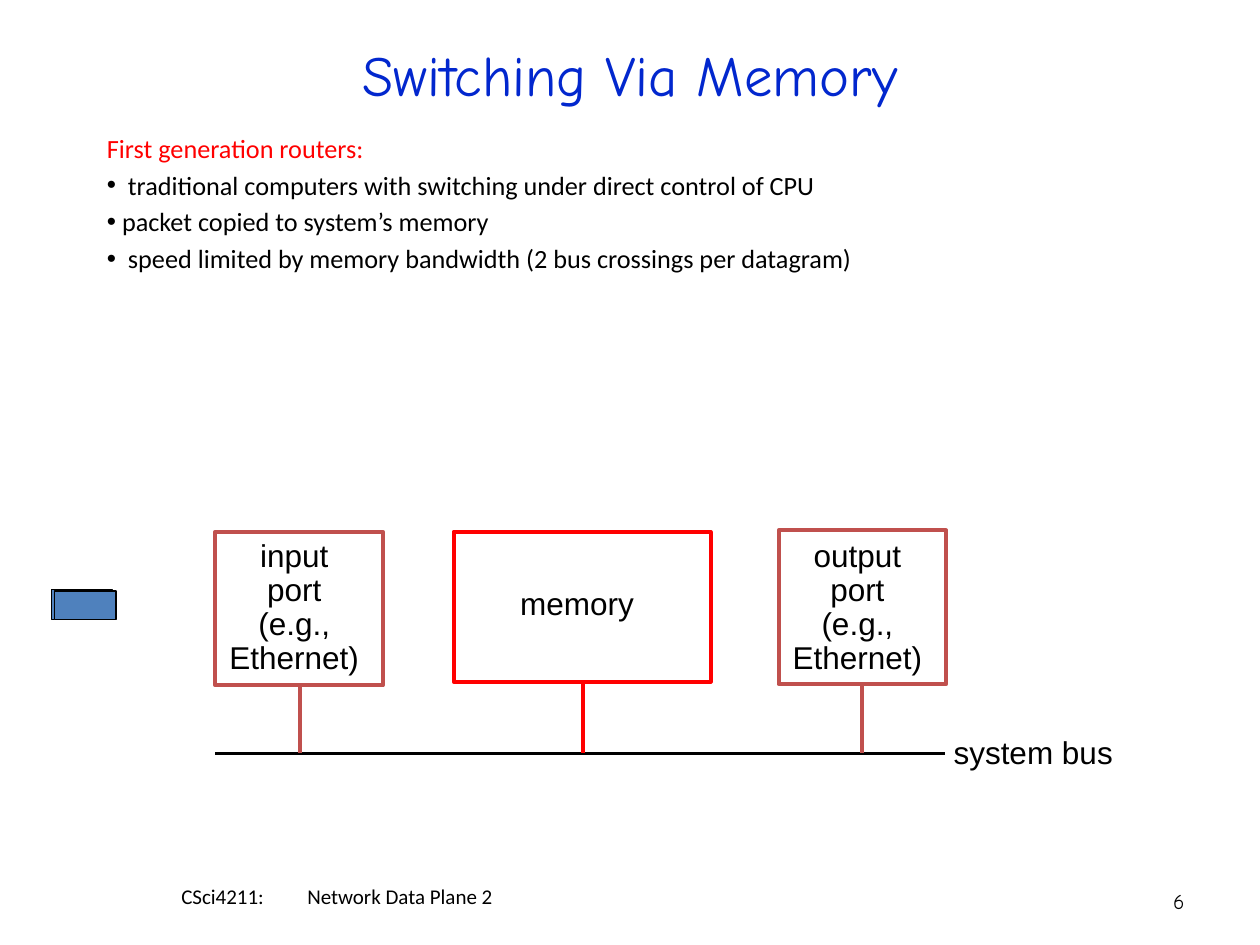
from lxml import etree
from pptx import Presentation
from pptx.dml.color import RGBColor
from pptx.enum.shapes import MSO_CONNECTOR, MSO_SHAPE
from pptx.enum.text import MSO_ANCHOR, MSO_AUTO_SIZE, PP_ALIGN
from pptx.oxml.ns import qn
from pptx.util import Inches, Pt

LEFT, CENTER, RIGHT = PP_ALIGN.LEFT, PP_ALIGN.CENTER, PP_ALIGN.RIGHT
TOP, MIDDLE = MSO_ANCHOR.TOP, MSO_ANCHOR.MIDDLE
NO_FIT = MSO_AUTO_SIZE.NONE
RECT, STRAIGHT = MSO_SHAPE.RECTANGLE, MSO_CONNECTOR.STRAIGHT
COLORS = {"title": "0227CE", "red": "FF0000", "text": "000000",
          "port": "C0504D", "packet": "4F81BD", "white": "FFFFFF"}


def rgb(name):
    """Return the palette colour with this name."""
    return RGBColor.from_string(COLORS[name])


def write(p, text, size=18, font="Arial", color="text", align=LEFT, line=None,
          before=0, margin=0, indent=0, bullet=None, tab=None):
    """Fill a paragraph with formatted text."""
    pPr = p._p.get_or_add_pPr()
    pPr.set("marL", str(Inches(margin)))
    pPr.set("indent", str(Inches(indent)))
    p.alignment = align
    p.space_before = Pt(before)
    if line:
        p.line_spacing = line
    if bullet:
        etree.SubElement(pPr, qn("a:buFont"), typeface="Arial")
        etree.SubElement(pPr, qn("a:buChar"), char=bullet)
    else:
        etree.SubElement(pPr, qn("a:buNone"))
    if tab:
        tabs = etree.SubElement(pPr, qn("a:tabLst"))
        etree.SubElement(tabs, qn("a:tab"), pos=str(Inches(tab)), algn="l")
    r = p.add_run()
    r.text = text
    r.font.size = Pt(size)
    r.font.name = font
    r.font.color.rgb = rgb(color)


class Deck:
    """Holds the presentation style and the current slide."""

    line_width = 2.25

    def __init__(self):
        self.prs = Presentation()
        self.prs.slide_width, self.prs.slide_height = Inches(10), Inches(7.5)
        self.s = self.prs.slides.add_slide(self.prs.slide_layouts[5])

    def title(self, text, x, y, w, h):
        """Place the title placeholder."""
        sp = self.s.shapes.title
        sp.left, sp.top, sp.width, sp.height = map(Inches, (x, y, w, h))
        tf = sp.text_frame
        tf.auto_size, tf.vertical_anchor = NO_FIT, MIDDLE
        write(tf.paragraphs[0], text, 32.4, "Comic Neue", "title", CENTER)

    def text(self, items, x, y, w, h, wrap=False, anchor=TOP, **style):
        """Add a text box from pairs of text and extra format."""
        tf = self.s.shapes.add_textbox(*map(Inches, (x, y, w, h))).text_frame
        tf.word_wrap, tf.vertical_anchor = wrap, anchor
        for i, (text, extra) in enumerate(items):
            p = tf.add_paragraph() if i else tf.paragraphs[0]
            write(p, text, **{**style, **extra})

    def rect(self, x, y, w, h, line, fill=None, width=line_width):
        """Add an outlined rectangle."""
        sp = self.s.shapes.add_shape(RECT, *map(Inches, (x, y, w, h)))
        sp.shadow.inherit = False
        sp.line.color.rgb, sp.line.width = rgb(line), Pt(width)
        if fill:
            sp.fill.solid()
            sp.fill.fore_color.rgb = rgb(fill)
        else:
            sp.fill.background()

    def line(self, x1, y1, x2, y2, color):
        """Add a straight line."""
        c = self.s.shapes.add_connector(STRAIGHT, *map(Inches, (x1, y1, x2, y2)))
        c.line.color.rgb, c.line.width = rgb(color), Pt(self.line_width)
        etree.SubElement(c._element.spPr, qn("a:effectLst"))

    def port(self, name, x, y):
        """Add a labelled port box."""
        self.rect(x, y, 1.33, 1.22, "port", "white")
        lines = (name, "port", "(e.g.,", "Ethernet)")
        self.text([(t, {}) for t in lines], x + 0.01, 4.24, 1.23, 1.18,
                  align=CENTER, line=0.9)


def main():
    """Build the slide and save it."""
    deck = Deck()
    deck.title("Switching Via Memory", 0.75, 0.25, 8.5, 0.67)

    point = {"bullet": "•", "before": 3}
    deck.text([
        ("First generation routers:", {"color": "red"}),
        (" traditional computers with switching under direct control of CPU", point),
        ("packet copied to system’s memory", point),
        (" speed limited by memory bandwidth (2 bus crossings per datagram)", point),
    ], 0.75, 1, 8.58, 1.17, wrap=True, size=15, font="Calibri",
        margin=0.12, indent=-0.12)

    deck.port("input", 1.71, 4.22)
    deck.text([("memory", {})], 4.03, 4.62, 1.1, 0.37, align=CENTER, line=0.9)
    deck.rect(3.6, 4.22, 2.04, 1.19, "red")
    deck.port("output", 6.18, 4.21)

    bus_y = 5.98
    deck.line(1.71, bus_y, 7.5, bus_y, "text")
    for x, color in ((2.38, "port"), (6.84, "port"), (4.63, "red")):
        deck.line(x, 5.43, x, bus_y, color)
    deck.text([("system bus", {})], 7.47, 5.77, 1.47, 0.4)

    for x, y, w, h in ((0.41, 4.68, 0.48, 0.24), (0.43, 4.69, 0.49, 0.23)):
        deck.rect(x, y, w, h, "text", "packet", 0.75)

    deck.text([("6", {})], 7.17, 6.95, 2.33, 0.4, wrap=True, anchor=MIDDLE,
              size=12, font="Comic Neue", align=RIGHT)
    deck.text([("CSci4211:\tNetwork Data Plane 2", {})], 0.75, 6.95, 3.92, 0.33,
              wrap=True, anchor=MIDDLE, size=12, font="Calibri",
              margin=0.59, tab=1.65)
    deck.prs.save("out.pptx")


if __name__ == "__main__":
    main()
